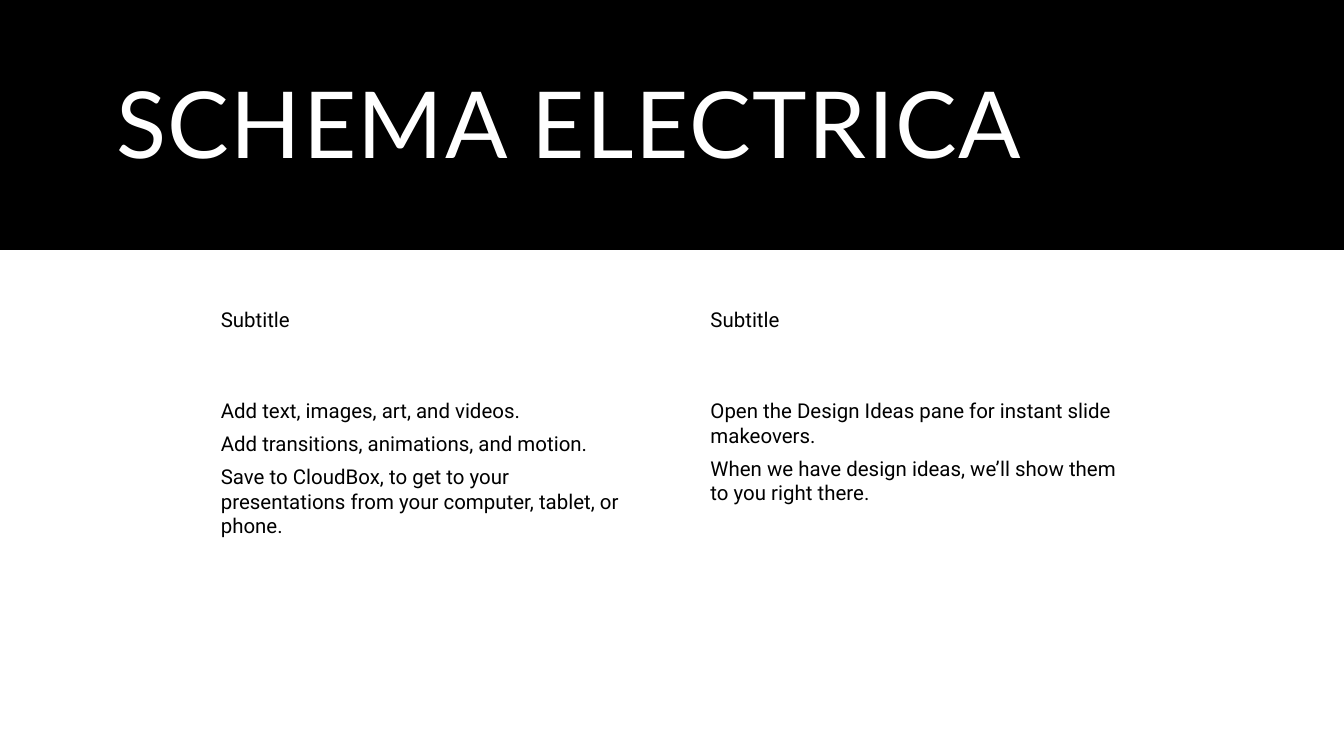
"""Build the SCHEMA ELECTRICA slide: a black title band above two text columns."""
from lxml.etree import SubElement
from pptx import Presentation
from pptx.dml.color import RGBColor
from pptx.enum.shapes import MSO_SHAPE
from pptx.enum.text import MSO_ANCHOR, MSO_AUTO_SIZE, PP_ALIGN
from pptx.oxml.ns import qn
from pptx.util import Cm, Pt


def color(hex_string):
    return RGBColor.from_string(hex_string)


def fill_placeholder(placeholder, box, lines, font_name, size, hex_string, anchor):
    placeholder.left, placeholder.top, placeholder.width, placeholder.height = map(Cm, box)
    frame = placeholder.text_frame
    frame.text = "\n".join(lines)
    frame.word_wrap = True
    frame.auto_size = MSO_AUTO_SIZE.NONE
    frame.vertical_anchor = anchor
    for paragraph in frame.paragraphs:
        paragraph.alignment = PP_ALIGN.LEFT
        paragraph.space_before = Pt(0)
        paragraph.font.name = font_name
        paragraph.font.size = Pt(size)
        paragraph.font.bold = False
        paragraph.font.color.rgb = color(hex_string)
    return frame.paragraphs


presentation = Presentation()
presentation.slide_width = Cm(33.87)
presentation.slide_height = Cm(19.05)
slide = presentation.slides.add_slide(presentation.slide_layouts.get_by_name("Comparison"))
slide.background.fill.solid()
slide.background.fill.fore_color.rgb = color("FFFFFF")

title_band = slide.shapes.add_shape(MSO_SHAPE.RECTANGLE, 0, 0, presentation.slide_width, Cm(6.3))
title_band.shadow.inherit = False
title_band.fill.solid()
title_band.fill.fore_color.rgb = color("000000")
title_band.line.fill.background()
slide.shapes.title._element.addprevious(title_band._element)

heading = fill_placeholder(slide.shapes.title, (2.67, 0.89, 28.52, 4.72), ["SCHEMA ELECTRICA"],
                           "Lato", 66, "FFFFFF", MSO_ANCHOR.MIDDLE)[0]
heading.line_spacing = 0.9
heading.runs[0].font._element.set("spc", "120")

columns = [
    (5.31, ["Add text, images, art, and videos.",
            "Add transitions, animations, and motion.",
            "Save to CloudBox, to get to your presentations from your computer, tablet, or phone."]),
    (17.65, ["Open the Design Ideas pane for instant slide makeovers.",
             "When we have design ideas, we’ll show them to you right there."]),
]
for column, (left, tips) in enumerate(columns):
    parts = [(1, 7.62, 2.01, ["Subtitle"]), (2, 9.91, 5.84, tips)]
    for index, top, height, lines in parts:
        placeholder = slide.placeholders[2 * column + index]
        for paragraph in fill_placeholder(placeholder, (left, top, 10.9, height), lines,
                                          "Roboto", 14.6, "000000", MSO_ANCHOR.TOP):
            paragraph.space_after = Pt(6)
            properties = paragraph._p.get_or_add_pPr()
            properties.set("marL", "0")
            properties.set("indent", "0")
            bullet = SubElement(properties, qn("a:buNone"))
            properties.find(qn("a:defRPr")).addprevious(bullet)

presentation.save("out.pptx")
